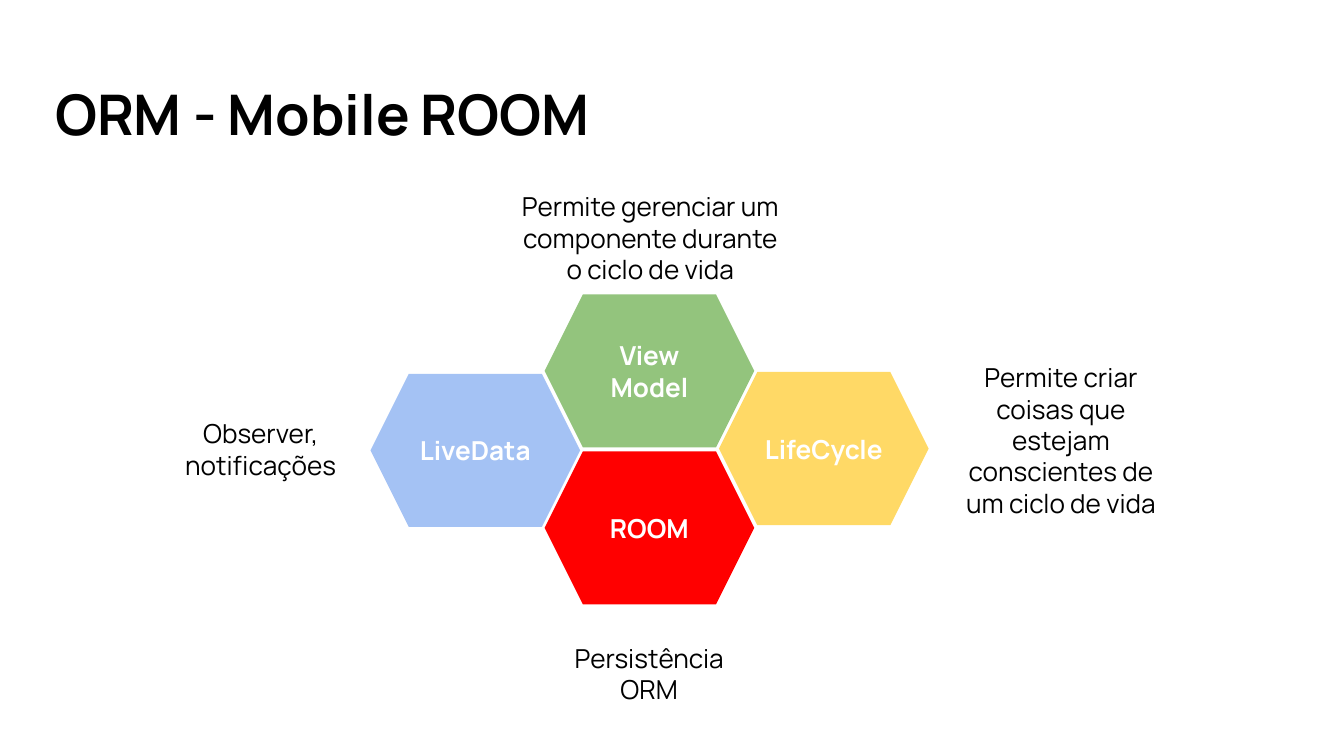
"""Build the ORM slide: four hexagons with a caption beside each."""
from dataclasses import dataclass

from pptx import Presentation
from pptx.dml.color import RGBColor
from pptx.enum import shapes, text
from pptx.util import Pt

FONT = "Manrope"
BLACK, WHITE = "000000", "FFFFFF"
HEX_W, HEX_H = 112.3, 82.1
CAPTION_H = 50.4
INSET = 7.2


@dataclass
class Hexagon:
    label: str
    left: float
    top: float
    fill: str


@dataclass
class Caption:
    body: str
    left: float
    top: float
    width: float


HEXAGONS = [
    Hexagon("LiveData", 198.5, 200.3, "A4C2F4"),
    Hexagon("View\nModel", 291.8, 157.7, "93C47D"),
    Hexagon("ROOM", 291.8, 241.8, "FF0000"),
    Hexagon("LifeCycle", 385.2, 199.3, "FFD966"),
]
CAPTIONS = [
    Caption("Persistência\nORM", 296.7, 335.5, 102.2),
    Caption("Observer, notificações", 88.6, 215.5, 102.2),
    Caption("Permite gerenciar um componente durante o ciclo de vida",
            270.7, 102.2, 155.5),
    Caption("Permite criar coisas que estejam conscientes de um ciclo de vida",
            505.4, 210.5, 126),
]


def rgb(value: str) -> RGBColor:
    return RGBColor.from_string(value)


def write(s, body: str, size: float, color: str, bold: bool, align) -> None:
    tf = s.text_frame
    tf.text = body
    tf.word_wrap = True
    tf.auto_size = text.MSO_AUTO_SIZE.NONE
    tf.vertical_anchor = text.MSO_ANCHOR.MIDDLE
    tf.margin_left = tf.margin_right = Pt(INSET)
    tf.margin_top = tf.margin_bottom = Pt(INSET)
    for p in tf.paragraphs:
        p.alignment = align
        p.font.name = FONT
        p.font.size = Pt(size)
        p.font.bold = bold
        p.font.color.rgb = rgb(color)


def add_title(slide, body: str) -> None:
    s = slide.shapes.title
    s.left, s.top, s.width, s.height = Pt(22.3), Pt(18.7), Pt(630.7), Pt(83.5)
    write(s, body, 30, BLACK, True, text.PP_ALIGN.LEFT)


def add_hexagon(slide, h: Hexagon) -> None:
    s = slide.shapes.add_shape(shapes.MSO_SHAPE.HEXAGON, Pt(h.left), Pt(h.top),
                               Pt(HEX_W), Pt(HEX_H))
    s.shadow.inherit = False
    s.fill.solid()
    s.fill.fore_color.rgb = rgb(h.fill)
    s.line.fill.background()
    write(s, h.label, 14, WHITE, True, text.PP_ALIGN.CENTER)


def add_caption(slide, c: Caption) -> None:
    s = slide.shapes.add_textbox(Pt(c.left), Pt(c.top), Pt(c.width), Pt(CAPTION_H))
    write(s, c.body, 14, BLACK, False, text.PP_ALIGN.CENTER)


def main() -> None:
    prs = Presentation()
    prs.slide_width, prs.slide_height = Pt(720), Pt(405)
    slide = prs.slides.add_slide(prs.slide_layouts[5])
    add_title(slide, "ORM - Mobile ROOM")
    for h in HEXAGONS:
        add_hexagon(slide, h)
    for c in CAPTIONS:
        add_caption(slide, c)
    prs.save("out.pptx")


if __name__ == "__main__":
    main()
